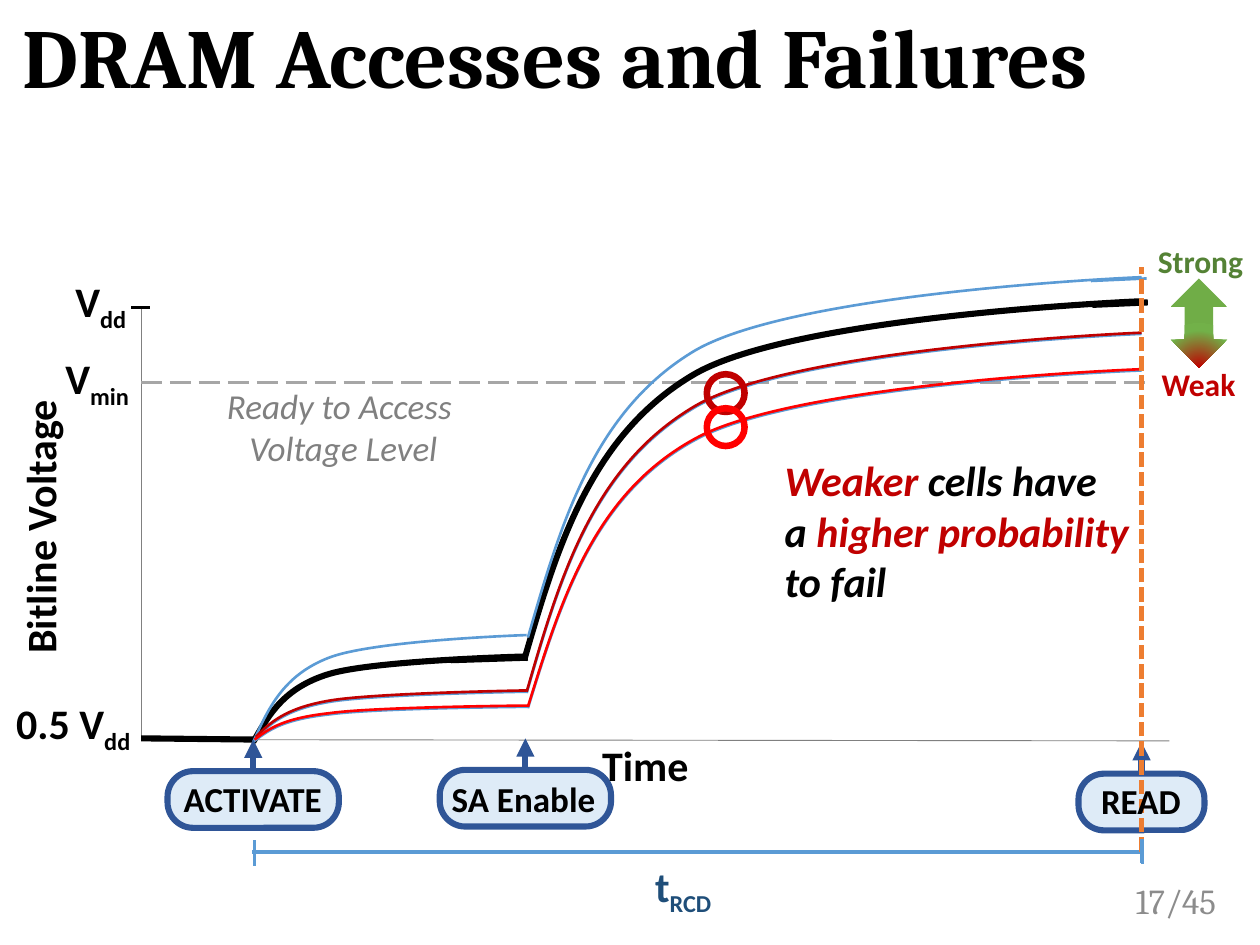
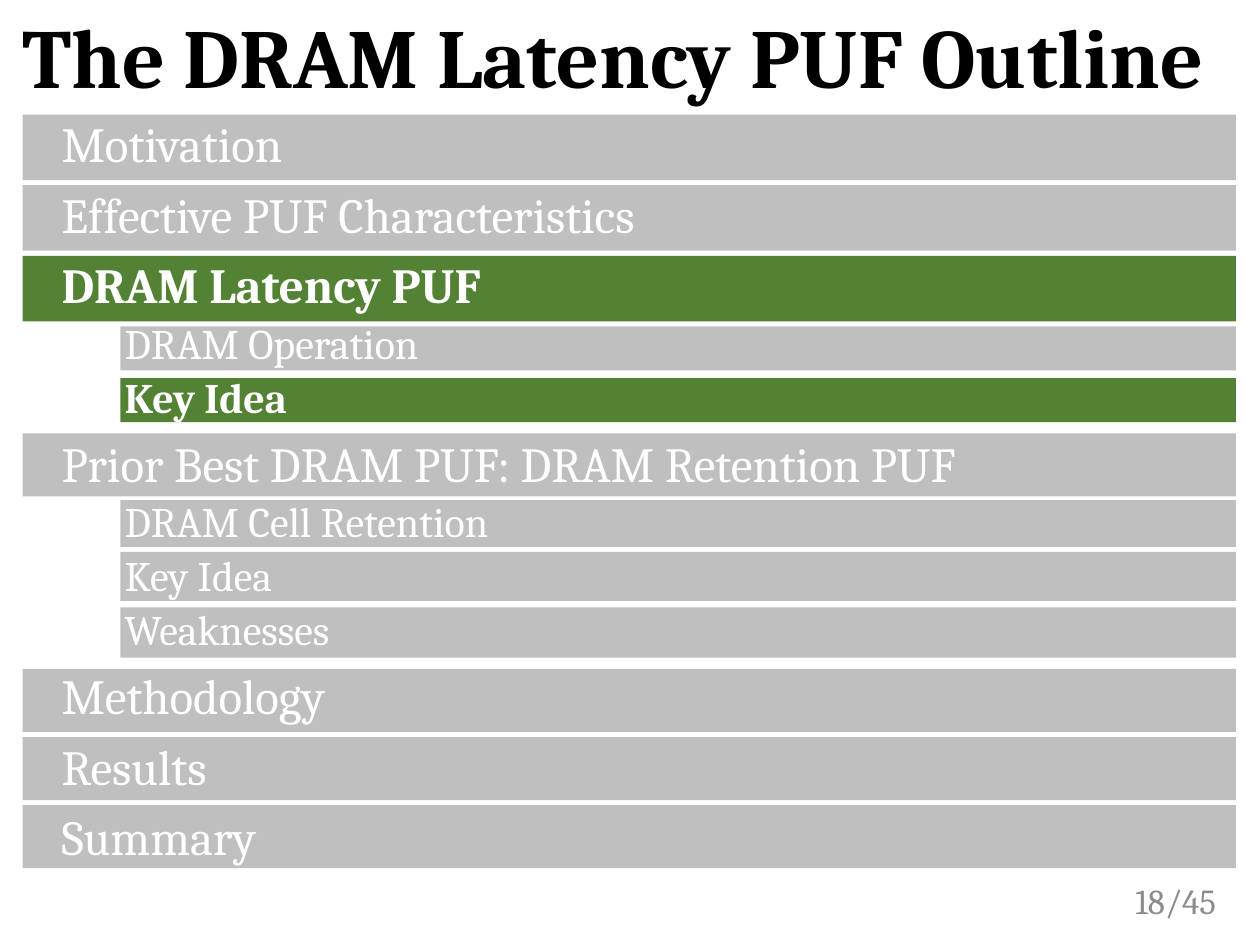
"""Build two slides: DRAM access failures and the latency PUF outline."""
from lxml import etree
from pptx import Presentation
from pptx import util as u
from pptx.dml import color
from pptx.enum import dml as dashes, shapes, text
from pptx.oxml import parse_xml
from pptx.oxml.ns import nsdecls, qn

BLACK, WHITE, GREY, SILVER = "000000", "FFFFFF", "808080", "BFBFBF"
SKY, NAVY, ORANGE = "5B9BD5", "2F5597", "ED7D31"
CRIMSON, RED, GREEN = "C00000", "FF0000", "538235"
LEFT, CENTER, RIGHT = text.PP_ALIGN.LEFT, text.PP_ALIGN.CENTER, text.PP_ALIGN.RIGHT
rgb = color.RGBColor.from_string

presentation = Presentation()
presentation.slide_width, presentation.slide_height = u.Inches(10), u.Inches(7.5)
column = presentation.slide_width / 100
row = presentation.slide_height / 75
grid = (column, row, column, row)


def add_run(paragraph, words, size, colour, face="Calibri", bold=True, italic=False, baseline=0):
    run = paragraph.add_run()
    run.text = words
    run.font.size, run.font.name = u.Pt(size), face
    run.font.bold, run.font.italic = bold, italic
    run.font.color.rgb = rgb(colour)
    if baseline:
        run._r.get_or_add_rPr().set("baseline", str(baseline * 1000))


def add_line(slide, start, end, colour, width, dash=None, arrow=False):
    ends = [round(value * unit) for value, unit in zip((*start, *end), grid)]
    line = slide.shapes.add_connector(shapes.MSO_CONNECTOR.STRAIGHT, *ends)
    line.line.color.rgb = rgb(colour)
    line.line.width = u.Pt(width)
    if dash:
        line.line.dash_style = dash
    if arrow:
        etree.SubElement(line.line._get_or_add_ln(), qn("a:tailEnd"), type="triangle")
    etree.SubElement(line._element.spPr, qn("a:effectLst"))
    return line


slides = []
for number, heading in ((17, "DRAM Accesses and Failures"), (18, "The DRAM Latency PUF Outline")):
    slide = presentation.slides.add_slide(presentation.slide_layouts[6])
    slides.append(slide)
    for box, words, size, colour, bold, align, spacing in (
        ((86.7, 69.5, 10.8, 4), f"{number}/45", 20, "8C8C8C", False, RIGHT, 1),
        ((0.8, 0.8, 98.3, 8.1), heading, 48, BLACK, True, LEFT, 0.9),
    ):
        frame = slide.shapes.add_textbox(*[round(v * s) for v, s in zip(box, grid)]).text_frame
        frame.word_wrap = True
        frame.vertical_anchor = text.MSO_ANCHOR.MIDDLE
        paragraph = frame.paragraphs[0]
        paragraph.alignment, paragraph.line_spacing = align, spacing
        add_run(paragraph, words, size, colour, "Cambria", bold)

failures, outline = slides

panels = []
for box in ((0.3, 0, 99.7, 70.3), (90.9, 66.2, 9.1, 2.6)):
    panel = failures.shapes.add_shape(
        shapes.MSO_SHAPE.RECTANGLE, *[round(v * s) for v, s in zip(box, grid)])
    panel.shadow.inherit = False
    panel.fill.solid()
    panel.fill.fore_color.rgb = rgb(WHITE)
    panel.line.color.rgb = rgb(WHITE)
    panel.line.width = u.Pt(1)
    panels.append(panel)
backdrop, bracket_cover = panels
tree = failures.shapes._spTree
tree.remove(backdrop._element)
tree.insert(3, backdrop._element)

for start, end, colour, width in (
    ((11.2, 24), (11.2, 24), SKY, 0.5),
    ((11.2, 24.4), (11.2, 58.8), GREY, 0.5),
    ((92.8, 58.8), (11.2, 58.7), GREY, 0.5),
    ((11.9, 24.4), (10.4, 24.4), BLACK, 1.25),
    ((20.3, 58.7), (11.2, 58.6), BLACK, 3.5),
    ((35.8, 52.4), (41.9, 52.2), BLACK, 3.5),
    ((86.7, 24.2), (91.1, 24), BLACK, 3.5),
    ((86.6, 22.3), (91, 22.1), SKY, 1.5),
    ((20, 67.6), (90.5, 67.6), SKY, 2.25),
    ((90.7, 66.6), (90.7, 68.6), SKY, 2.25),
    ((20.2, 66.7), (20.2, 68.7), SKY, 2.25),
):
    add_line(failures, start, end, colour, width)
add_line(failures, (11.2, 30.35), (91.1, 30.35), "A6A6A6", 1.5, dashes.MSO_LINE.LONG_DASH)

black_curves = (
    ((20.1, 58.9), (21.3, 56.8), (22.5, 54.6), (26.1, 53.5), (29.7, 52.4), (41.8, 52.1), (41.8, 52.1)),
    ((41.6, 52.4), (44.2, 43.4), (46.9, 34.5), (55.1, 29.7), (63.2, 25), (90.7, 23.9), (90.7, 23.9)),
)
strong_curves = (
    ((20.1, 58.9), (21.3, 56.2), (22.5, 53.6), (26.1, 52.2), (29.7, 50.8), (41.8, 50.4), (41.8, 50.4)),
    ((41.9, 50.6), (44.5, 41.6), (47.1, 32.6), (55.2, 27.8), (63.4, 23.1), (90.6, 22), (90.6, 22)),
)
weak_curves = (
    ((20.3, 58.5), (21.4, 57.4), (22.6, 56.2), (26.2, 55.6), (29.8, 55), (41.8, 54.8), (41.8, 54.8)),
    ((41.8, 54.9), (44.4, 45.9), (47, 37), (55.2, 32.2), (63.3, 27.5), (90.6, 26.4), (90.6, 26.4)),
)
weakest_curves = (
    ((20.2, 58.7), (21.4, 57.8), (22.5, 57), (26.2, 56.6), (29.8, 56.1), (42, 56), (42, 56)),
    ((41.9, 56.1), (44.5, 47.7), (47.1, 39.2), (55.2, 34.8), (63.4, 30.3), (90.6, 29.3), (90.6, 29.3)),
)
for curves, colour, width, drop in (
    (black_curves, BLACK, 3.5, 0),
    (strong_curves, SKY, 1.5, 0),
    (weak_curves, SKY, 1.5, 0.1),
    (weakest_curves, SKY, 1.5, 0.1),
    (weak_curves, CRIMSON, 1.5, 0),
    (weakest_curves, RED, 1.5, 0),
):
    for knots in curves:
        points = [(x * column, (y + drop) * row) for x, y in knots]
        builder = failures.shapes.build_freeform(*points[0])
        builder.add_line_segments(points[1:], close=False)
        curve = builder.convert_to_shape()
        outline_path = curve._element.find(".//" + qn("a:path"))
        segments = outline_path.findall(qn("a:lnTo"))
        for first in (0, 3):
            bend = etree.SubElement(outline_path, qn("a:cubicBezTo"))
            for segment in segments[first:first + 3]:
                bend.append(segment[0])
                outline_path.remove(segment)
        curve.shadow.inherit = False
        curve.fill.background()
        curve.line.color.rgb = rgb(colour)
        curve.line.width = u.Pt(width)

for left, top, width in ((13.3, 61.2, 13.6), (34.9, 61.1, 13.6), (85.6, 61.4, 10)):
    button = failures.shapes.add_shape(
        shapes.MSO_SHAPE.ROUNDED_RECTANGLE,
        *[round(v * s) for v, s in zip((left, top, width, 4.5), grid)])
    button.adjustments[0] = 0.45
    button.shadow.inherit = False
    button.fill.solid()
    button.fill.fore_color.rgb = rgb("DEEBF7")
    button.line.color.rgb = rgb(NAVY)
    button.line.width = u.Pt(3.5)
    middle = left + width / 2
    arrow = add_line(failures, (middle, top), (middle, top - 2.5), NAVY, 3.5, arrow=True)
    arrow.begin_connect(button, 0)

add_line(failures, (90.6, 67.6), (90.6, 21.2), ORANGE, 2.75, dashes.MSO_LINE.SQUARE_DOT)
add_line(failures, (90.6, 66.6), (90.6, 68.5), SKY, 2.25)
tree.append(bracket_cover._element)

strength = failures.shapes.add_shape(
    shapes.MSO_SHAPE.UP_DOWN_ARROW,
    *[round(v * s) for v, s in zip((92.9, 22.1, 4.5, 7.1), grid)])
strength.adjustments[0], strength.adjustments[1] = 0.45, 0.5
strength.shadow.inherit = False
strength.line.fill.background()
strength.fill.background()
stops = "".join(
    f'<a:gs pos="{share * 1000}"><a:srgbClr val="{colour}"/></a:gs>'
    for share, colour in ((0, CRIMSON), (70, "72B149"), (100, "70AD47")))
properties = strength._element.spPr
properties.replace(properties.find(qn("a:noFill")), parse_xml(
    f'<a:gradFill {nsdecls("a")} rotWithShape="1"><a:gsLst>{stops}</a:gsLst><a:path path="circle">'
    '<a:fillToRect l="50000" t="130000" r="50000" b="-30000"/></a:path></a:gradFill>'))

for box, lines, size, bold, italic, align, rotation in (
    ((5, 21.4, 6.3, 5), [[("V", BLACK, 0), ("dd", BLACK, -25)]], 24, True, False, LEFT, 0),
    ((4.2, 27.5, 7.5, 5), [[("V", BLACK, 0), ("min", BLACK, -25)]], 24, True, False, LEFT, 0),
    ((0.3, 54.9, 11.3, 5), [[("0.5 V", BLACK, 0), ("dd", BLACK, -25)]], 24, True, False, LEFT, 0),
    ((51, 67.8, 7.1, 5), [[("t", "1F4E79", 0), ("RCD", "1F4E79", -25)]], 24, True, False, LEFT, 0),
    ((-8.4, 38.8, 23.1, 5), [[("Bitline Voltage", BLACK, 0)]], 24, True, False, LEFT, 270),
    ((46.8, 58.2, 8.9, 5), [[("Time", BLACK, 0)]], 24, True, False, LEFT, 0),
    ((16.9, 30, 20.7, 7.7), [[("Ready to Access ", GREY, 0)], [("Voltage Level", GREY, 0)]],
     20, False, True, CENTER, 0),
    ((13.6, 61.2, 13.1, 4.4), [[("ACTIVATE", BLACK, 0)]], 20, True, False, LEFT, 0),
    ((34.8, 61.2, 13.5, 4.4), [[("SA Enable", BLACK, 0)]], 20, True, False, CENTER, 0),
    ((86.4, 61.4, 8.4, 4.4), [[("READ", BLACK, 0)]], 20, True, False, LEFT, 0),
    ((91.2, 28.5, 7.9, 4), [[("Weak", CRIMSON, 0)]], 18, True, False, LEFT, 0),
    ((90.9, 18.7, 8.8, 4), [[("Strong", "548235", 0)]], 18, True, False, LEFT, 0),
    ((61.3, 35.6, 38.7, 13.1),
     [[("Weaker ", CRIMSON, 0), ("cells have", BLACK, 0)],
      [("a ", BLACK, 0), ("higher probability", CRIMSON, 0)],
      [("to fail", BLACK, 0)]], 24, True, True, LEFT, 0),
):
    label = failures.shapes.add_textbox(*[round(v * s) for v, s in zip(box, grid)])
    label.rotation = rotation
    frame = label.text_frame
    frame.word_wrap = len(lines) == 3
    frame.auto_size = text.MSO_AUTO_SIZE.SHAPE_TO_FIT_TEXT
    for index, runs in enumerate(lines):
        paragraph = frame.add_paragraph() if index else frame.paragraphs[0]
        paragraph.alignment = align
        for words, colour, baseline in runs:
            add_run(paragraph, words, size, colour, "Calibri", bold, italic, baseline)

for top, colour in ((29.7, CRIMSON), (32.4, RED)):
    ring = failures.shapes.add_shape(
        shapes.MSO_SHAPE.OVAL, *[round(v * s) for v, s in zip((56.1, top, 3, 3), grid)])
    ring.shadow.inherit = False
    ring.fill.background()
    ring.line.color.rgb = rgb(colour)
    ring.line.width = u.Pt(3.75)

topics = (
    ("Motivation", 0, 9.1, 5.2, False),
    ("Effective PUF Characteristics", 0, 14.7, 5.2, False),
    ("DRAM Latency PUF", 0, 20.3, 5.2, True),
    ("DRAM Operation", 1, 25.9, 3.5, False),
    ("Key Idea", 1, 30, 3.5, True),
    ("Prior Best DRAM PUF: DRAM Retention PUF", 0, 34.4, 5, False),
    ("DRAM Cell Retention", 1, 39.7, 3.7, False),
    ("Key Idea", 1, 43.8, 3.9, False),
    ("Weaknesses", 1, 48.2, 4, False),
    ("Methodology", 0, 53.1, 5, False),
    ("Results", 0, 58.5, 5, False),
    ("Summary", 0, 63.9, 5, False),
)
for words, level, top, height, current in topics:
    left = 9.55 if level else 1.8
    bar = outline.shapes.add_shape(
        shapes.MSO_SHAPE.RECTANGLE,
        *[round(v * s) for v, s in zip((left, top, 98.1 - left, height), grid)])
    bar.shadow.inherit = False
    bar.fill.solid()
    bar.fill.fore_color.rgb = rgb(GREEN if current else SILVER)
    bar.line.fill.background()

frame = outline.shapes.add_textbox(
    *[round(v * s) for v, s in zip((3.9, 9.05, 88.8, 58.2), grid)]).text_frame
frame.word_wrap = True
for index, (words, level, top, height, current) in enumerate(topics):
    paragraph = frame.add_paragraph() if index else frame.paragraphs[0]
    paragraph.line_spacing = 0.9
    if index:
        paragraph.space_before = u.Pt(5 if level else 10)
    if level:
        paragraph.level = level
        paragraph._p.get_or_add_pPr().set("marL", str(u.Inches(0.5)))
    add_run(paragraph, words, 24 if level else 28, WHITE, "Cambria", current)

presentation.save("out.pptx")
